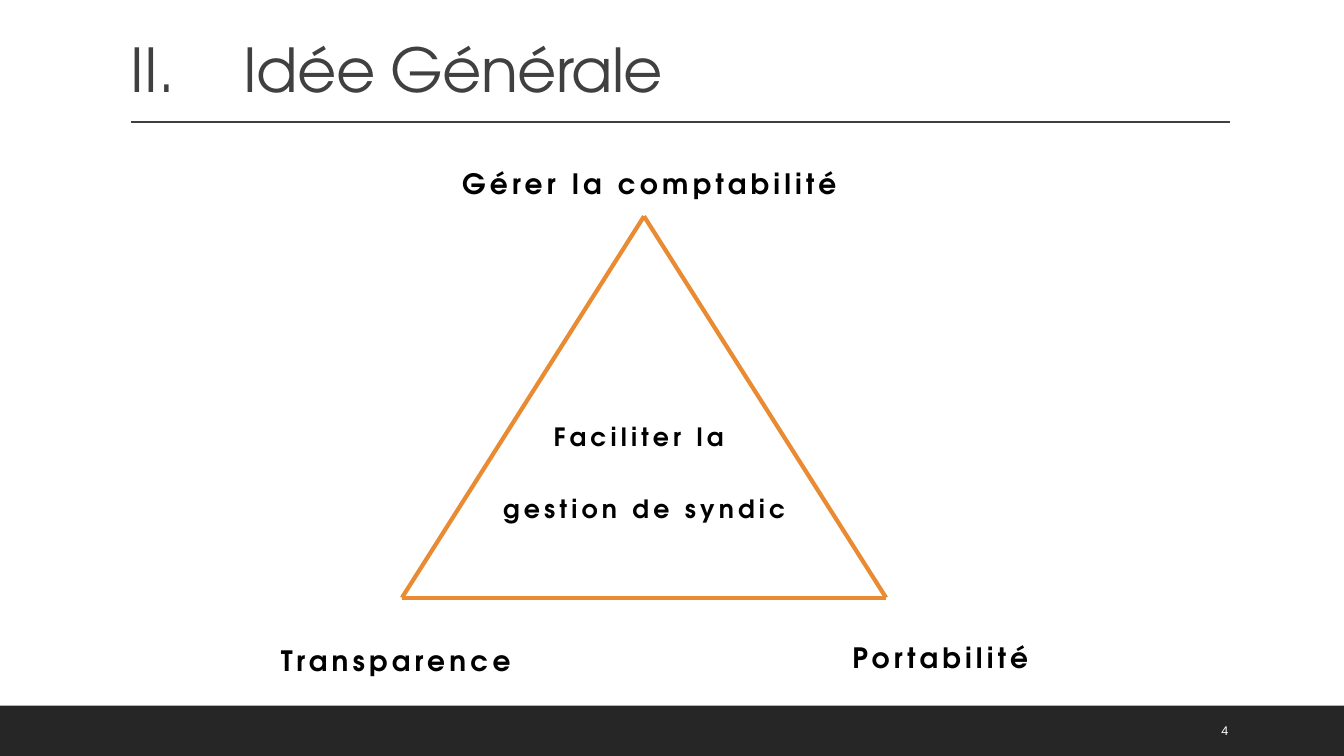
from dataclasses import dataclass

from lxml.etree import SubElement
from pptx import Presentation
from pptx.dml.color import RGBColor
from pptx.enum.shapes import MSO_CONNECTOR, MSO_SHAPE
from pptx.enum.text import MSO_ANCHOR, MSO_AUTO_SIZE, PP_ALIGN
from pptx.oxml.ns import qn
from pptx.util import Cm, Pt


@dataclass(frozen=True)
class Theme:
    heading_font: str = "TeX Gyre Adventor"
    number_font: str = "Arial"
    dark: RGBColor = RGBColor(0x26, 0x26, 0x26)
    grey: RGBColor = RGBColor(0x40, 0x40, 0x40)
    orange: RGBColor = RGBColor(0xE8, 0x8B, 0x33)
    black: RGBColor = RGBColor(0, 0, 0)
    white: RGBColor = RGBColor(0xFF, 0xFF, 0xFF)
    title_size: float = 43.2
    corner_size: float = 20
    centre_size: float = 18
    number_size: float = 9


THEME = Theme()


def add_line(slide, start, end, color, width):
    line = slide.shapes.add_connector(
        MSO_CONNECTOR.STRAIGHT, *map(Cm, start), *map(Cm, end))
    line.line.color.rgb = color
    line.line.width = Pt(width)
    SubElement(line._element.spPr, qn("a:effectLst"))


def add_frame(slide, left, top, width, height, anchor=MSO_ANCHOR.TOP):
    frame = slide.shapes.add_textbox(*map(Cm, (left, top, width, height))).text_frame
    frame.word_wrap = True
    frame.vertical_anchor = anchor
    return frame


def add_run(paragraph, text, size, color, font=THEME.heading_font, bold=False, tracking=0):
    """Tracking is the extra space between letters, in points."""
    run = paragraph.add_run()
    run.text = text
    run.font.name = font
    run.font.size = Pt(size)
    run.font.color.rgb = color
    run.font.bold = bold
    run._r.get_or_add_rPr().set("spc", str(round(tracking * 100)))


def add_label(slide, box, lines, size, align):
    frame = add_frame(slide, *box)
    frame.auto_size = MSO_AUTO_SIZE.SHAPE_TO_FIT_TEXT
    for index, line in enumerate(lines):
        paragraph = frame.add_paragraph() if index else frame.paragraphs[0]
        paragraph.alignment = align
        paragraph.line_spacing = 2.0
        paragraph.space_after = Pt(8)
        add_run(paragraph, line, size, THEME.black, bold=True, tracking=3)


def add_title(slide, text, section):
    """Section is the number shown as a Roman numeral before the text."""
    title = add_frame(slide, 3.05, 0.79, 27.94, 1.96, MSO_ANCHOR.BOTTOM).paragraphs[0]
    title.line_spacing = 1.07
    title.space_after = Pt(8)
    properties = title._p.get_or_add_pPr()
    properties.set("marL", str(Cm(2.85)))
    properties.set("indent", str(-Cm(2.85)))
    SubElement(properties, qn("a:buFont"), typeface="+mj-lt")
    SubElement(properties, qn("a:buAutoNum"), type="romanUcPeriod", startAt=str(section))
    add_run(title, text, THEME.title_size, THEME.grey, tracking=-0.5)
    add_line(slide, (3.3, 3.07), (30.99, 3.07), THEME.grey, 1)


def add_footer(slide, number):
    band = slide.shapes.add_shape(
        MSO_SHAPE.RECTANGLE, 0, Cm(17.78), Cm(33.87), Cm(1.27))
    band.shadow.inherit = False
    band.fill.solid()
    band.fill.fore_color.rgb = THEME.dark
    band.line.fill.background()
    frame = add_frame(slide, 30.53, 17.91, 2.16, 1.02, MSO_ANCHOR.MIDDLE)
    add_run(frame.paragraphs[0], number, THEME.number_size, THEME.white,
            font=THEME.number_font)


def add_triangle(slide, apex, left_corner, right_corner):
    corners = (apex, left_corner, right_corner)
    for start, end in zip(corners, corners[1:] + corners[:1]):
        add_line(slide, start, end, THEME.orange, 3)


def main():
    deck = Presentation()
    deck.slide_width, deck.slide_height = Cm(33.87), Cm(19.05)
    slide = deck.slides.add_slide(deck.slide_layouts[6])

    add_footer(slide, "4")
    add_title(slide, "Idée Générale", 2)
    add_label(slide, (12.29, 9.73, 7.9, 3.38), ("Faciliter la ", "gestion de syndic"),
              THEME.centre_size, PP_ALIGN.CENTER)
    corner_labels = (
        ("Gérer la comptabilité", 11.4, 3.23, 12),
        ("Transparence", 6.83, 15.24, 8),
        ("Portabilité", 21.23, 15.16, 6),
    )
    for text, left, top, width in corner_labels:
        add_label(slide, (left, top, width, 1.7), (text,),
                  THEME.corner_size, PP_ALIGN.JUSTIFY)
    add_triangle(slide, (16.23, 5.45), (10.13, 15.06), (22.33, 15.06))

    deck.save("out.pptx")


if __name__ == "__main__":
    main()
